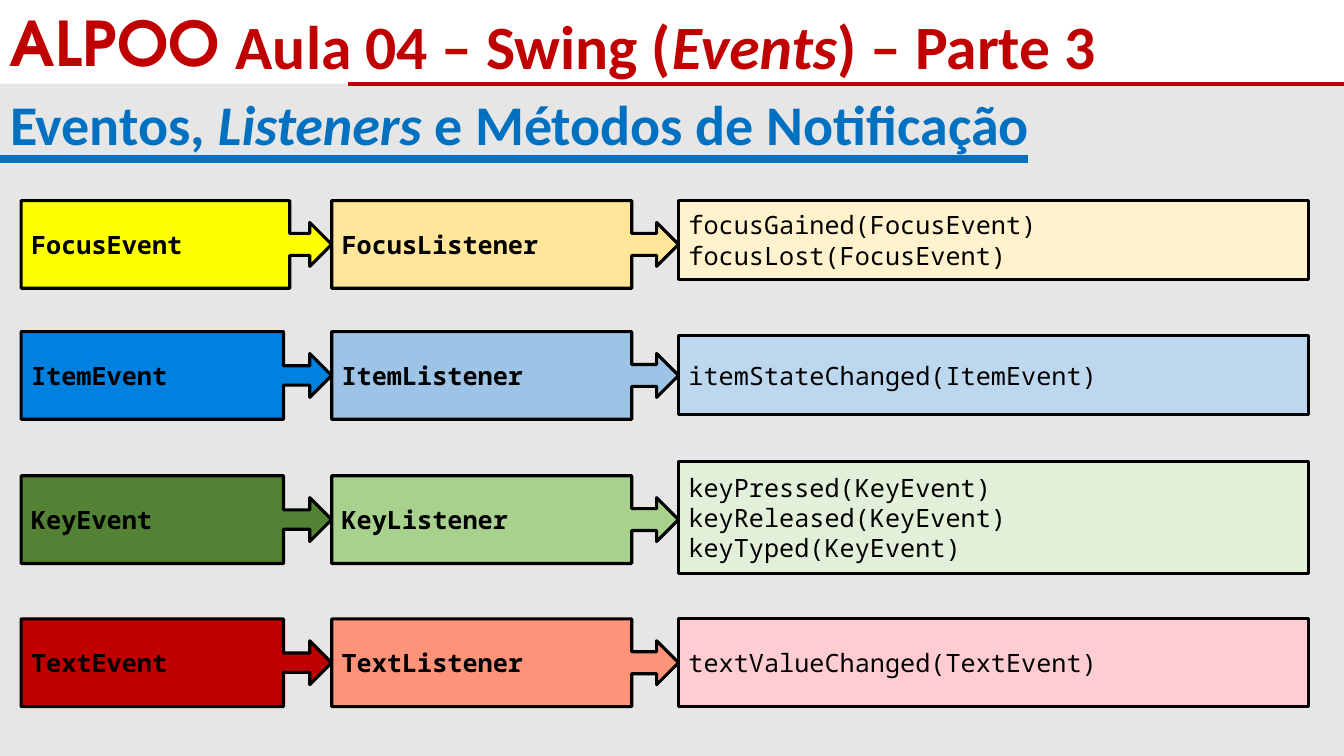
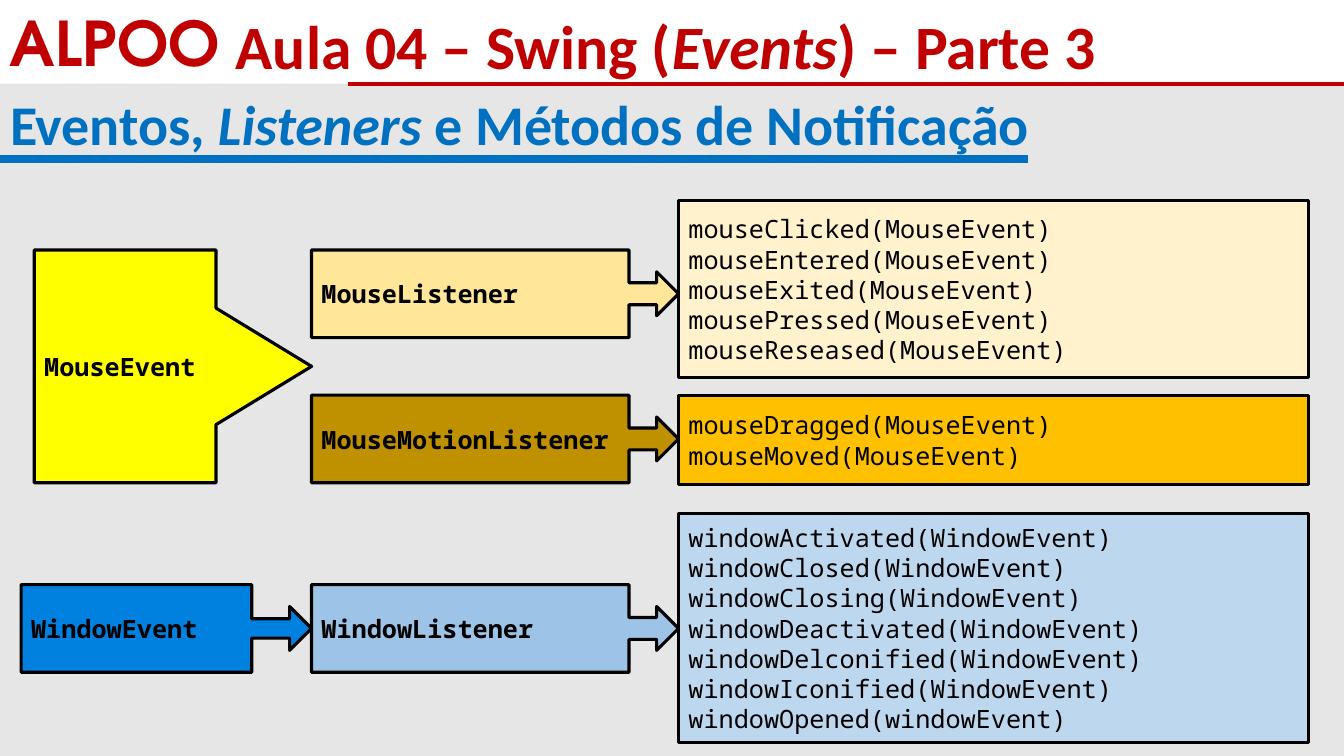
from lxml.etree import SubElement
from pptx import Presentation
from pptx.dml.color import RGBColor
from pptx.enum.shapes import MSO_CONNECTOR, MSO_SHAPE
from pptx.enum.text import MSO_ANCHOR, MSO_AUTO_SIZE, PP_ALIGN
from pptx.oxml.ns import qn
from pptx.util import Inches, Pt

BLACK = RGBColor(0x00, 0x00, 0x00)
GREY = RGBColor(0xE7, 0xE6, 0xE6)
RED = RGBColor(0xC0, 0x00, 0x00)
ROSE = RGBColor(0xFF, 0x93, 0x79)
PINK = RGBColor(0xFF, 0xCC, 0xD1)
NAVY = RGBColor(0x00, 0x70, 0xC0)
BLUE = RGBColor(0x00, 0x81, 0xDF)
SKY = RGBColor(0x9D, 0xC3, 0xE6)
ICE = RGBColor(0xBD, 0xD7, 0xEE)
GREEN = RGBColor(0x54, 0x82, 0x35)
LEAF = RGBColor(0xA9, 0xD1, 0x8E)
MINT = RGBColor(0xE2, 0xF0, 0xD9)
YELLOW = RGBColor(0xFF, 0xFF, 0x00)
SAND = RGBColor(0xFF, 0xE6, 0x99)
CREAM = RGBColor(0xFF, 0xF2, 0xCC)
BROWN = RGBColor(0xBF, 0x90, 0x00)
GOLD = RGBColor(0xFF, 0xC0, 0x00)

LOGO = {"name": "TeX Gyre Adventor", "size": Pt(44), "bold": True}
HEAD = {"name": "Calibri", "size": Pt(44), "bold": True}
TITLE = {"name": "Calibri", "size": Pt(40), "bold": True}
NAME = {"name": "Noto Sans Mono", "size": Pt(18), "bold": True}
CODE = {"name": "Noto Sans Mono", "size": Pt(18), "bold": False}

WIDE, HIGH, BAND = 13.33, 7.5, 0.83
LEFT, CALL_H = 0.21, 0.87
CODE_X, CODE_W = 6.73, 6.25
THIN = (0.22, 0.25, 0.25, 0.845)
EVEN = (0.25, 0.25, 0.25, 0.865)
BROAD = (0.5, 0.25, 0.41, 0.848)
SLIM = (0.22, 0.25, 0.25, 0.794)


def apply(part, values):
    """Set each named value on the part."""
    for key, value in values.items():
        setattr(part, key, value)


def write(shape, lines, font, color, align=PP_ALIGN.LEFT, **frame):
    """Fill a shape with lines, each a list of (text, italic) runs."""
    text = shape.text_frame
    apply(text, {"word_wrap": True, "auto_size": MSO_AUTO_SIZE.NONE, **frame})
    for index, runs in enumerate(lines):
        para = text.add_paragraph() if index else text.paragraphs[0]
        para.alignment = align
        for words, slant in runs:
            run = para.add_run()
            run.text = words
            apply(run.font, {**font, "italic": slant})
            run.font.color.rgb = color


def draw_rule(slide, start, end, top, color, width):
    """Draw a level rule."""
    rule = slide.shapes.add_connector(
        MSO_CONNECTOR.STRAIGHT, Inches(start), Inches(top), Inches(end), Inches(top))
    rule.line.color.rgb = color
    rule.line.width = Pt(width)
    SubElement(rule.element.spPr, qn("a:effectLst"))
    return rule


def draw_box(slide, kind, box, fill):
    """Draw a plain filled shape with no line or shadow."""
    shape = slide.shapes.add_shape(kind, *map(Inches, box))
    shape.shadow.inherit = False
    shape.fill.solid()
    shape.fill.fore_color.rgb = fill
    shape.line.fill.background()
    return shape


def draw_node(slide, kind, box, fill, lines, font):
    """Draw an outlined box of left-set code."""
    shape = draw_box(slide, kind, box, fill)
    shape.line.color.rgb = BLACK
    shape.line.width = Pt(2.25)
    write(shape, [[(line, None)] for line in lines], font, BLACK,
          vertical_anchor=MSO_ANCHOR.MIDDLE)
    return shape


def draw_call(slide, box, fill, label, shares):
    """Draw a named box whose right side is an arrow."""
    shape = draw_node(slide, MSO_SHAPE.RIGHT_ARROW_CALLOUT, box, fill, [label], NAME)
    for index, share in enumerate(shares):
        shape.adjustments[index] = share


def draw_code(slide, top, height, fill, lines):
    """Draw the box that lists the methods."""
    draw_node(slide, MSO_SHAPE.RECTANGLE, (CODE_X, top, CODE_W, height), fill, lines, CODE)


def draw_pair(slide, left, split, top, fills, root, shares):
    """Draw an event box and the listener box it points to."""
    draw_call(slide, (left, top, split - left, CALL_H), fills[0], root + "Event", shares)
    draw_heard(slide, split, top, fills[1], root)


def draw_heard(slide, left, top, fill, root):
    """Draw a listener box that points to its methods."""
    draw_call(slide, (left, top, CODE_X - left, CALL_H), fill, root + "Listener", EVEN)


def build_band(slide, layout):
    """Make the course band and place it in the shared layout."""
    ground = draw_box(slide, MSO_SHAPE.RECTANGLE, (0, BAND, WIDE, HIGH - BAND), GREY)
    rule = draw_rule(slide, 3.45, WIDE, BAND, RED, 3)
    logo, head = [slide.shapes.add_textbox(*map(Inches, box))
                  for box in ((0, 0, 2.41, 0.84), (2.1, 0.03, 8.87, 0.84))]
    write(logo, [[("ALPOO", None)]], LOGO, RED, word_wrap=False)
    write(head, [[("Aula 04 – Swing (", None), ("Events", True), (") – Parte 3", None)]],
          HEAD, RED, PP_ALIGN.RIGHT)
    for index, part in enumerate((ground, rule, logo, head)):
        layout.shapes.element.insert(2 + index, part.element)


def build_title(slide):
    """Place the slide title and its rule."""
    title = slide.shapes.title
    box = (0, 0.84, 10.43, 0.77)
    apply(title, dict(zip(("left", "top", "width", "height"), map(Inches, box))))
    write(title, [[("Eventos, ", None), ("Listeners", True),
                   (" e Métodos de Notificação", None)]],
          TITLE, NAVY, word_wrap=False, vertical_anchor=MSO_ANCHOR.TOP)
    draw_rule(slide, -0.03, 10.2, 1.58, NAVY, 6)


def build_rows(slide):
    """Fill the slide with four event rows."""
    rows = [
        ("Focus", 1.99, (YELLOW, SAND), EVEN, 1.99, 0.78, CREAM,
         ["focusGained(FocusEvent)", "focusLost(FocusEvent)"]),
        ("Item", 3.29, (BLUE, SKY), THIN, 3.33, 0.78, ICE,
         ["itemStateChanged(ItemEvent)"]),
        ("Key", 4.72, (GREEN, LEAF), THIN, 4.58, 1.11, MINT,
         ["keyPressed(KeyEvent)", "keyReleased(KeyEvent)", "keyTyped(KeyEvent)"]),
        ("Text", 6.14, (RED, ROSE), THIN, 6.14, CALL_H, PINK,
         ["textValueChanged(TextEvent)"]),
    ]
    for root, top, fills, shares, *code in rows:
        draw_pair(slide, LEFT, 3.29, top, fills, root, shares)
        draw_code(slide, *code)


def build_mouse(slide):
    """Fill the slide with the mouse and window events."""
    split, top, low = 3.09, 2.48, 3.92
    draw_call(slide, (0.34, top, split - 0.34, low + CALL_H - top), YELLOW,
              "MouseEvent", BROAD)
    draw_heard(slide, split, top, SAND, "Mouse")
    draw_heard(slide, split, low, BROWN, "MouseMotion")
    draw_pair(slide, LEFT, split, 5.8, (BLUE, SKY), "Window", SLIM)
    acts = ["Clicked", "Entered", "Exited", "Pressed", "Reseased"]
    draw_code(slide, 1.99, 1.76, CREAM, [f"mouse{act}(MouseEvent)" for act in acts])
    draw_code(slide, low, 0.89, GOLD,
              [f"mouse{act}(MouseEvent)" for act in ("Dragged", "Moved")])
    acts = ["Activated", "Closed", "Closing", "Deactivated", "Delconified", "Iconified"]
    draw_code(slide, 5.09, 2.28, ICE, [f"window{act}(WindowEvent)" for act in acts]
              + ["windowOpened(windowEvent)"])


def main():
    """Build and save the deck."""
    deck = Presentation()
    apply(deck, {"slide_width": Inches(WIDE), "slide_height": Inches(HIGH)})
    layout = deck.slide_layouts[5]
    for index, build in enumerate((build_rows, build_mouse)):
        slide = deck.slides.add_slide(layout)
        if index == 0:
            build_band(slide, layout)
        build_title(slide)
        build(slide)
    deck.save("out.pptx")


if __name__ == "__main__":
    main()
